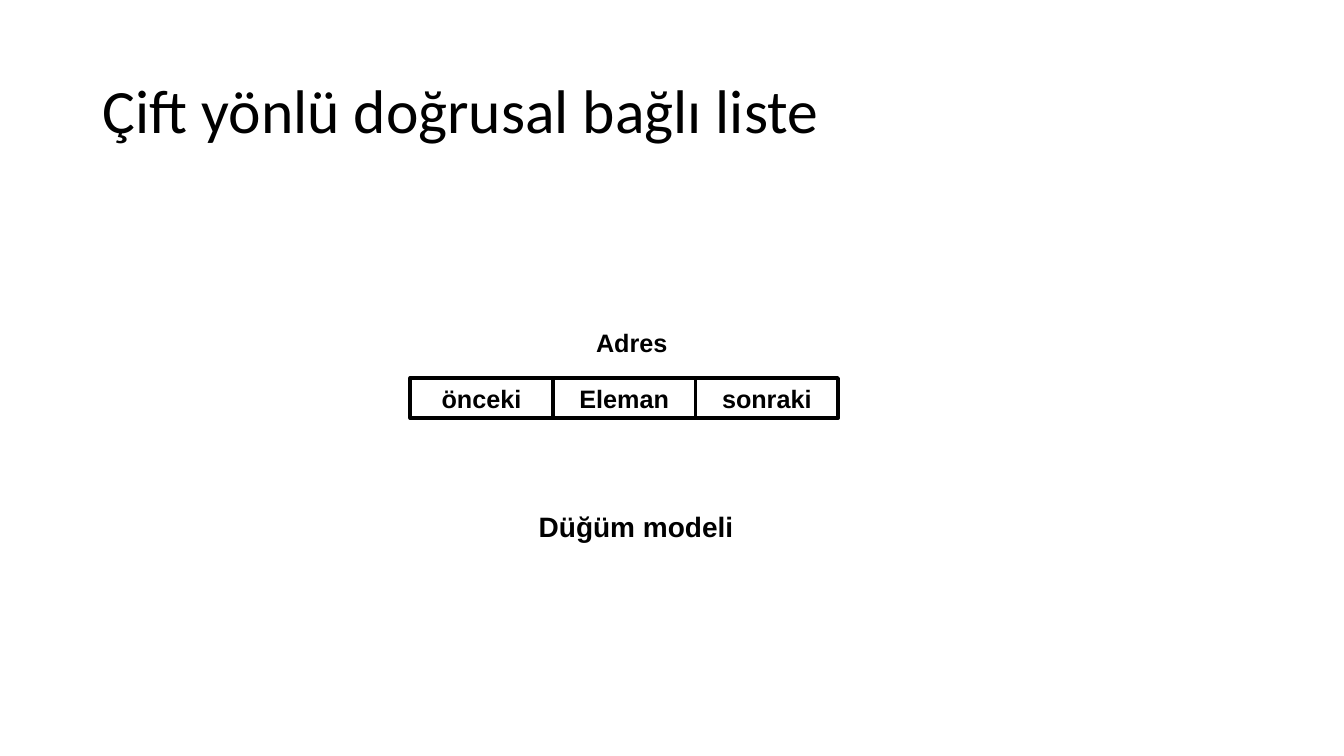
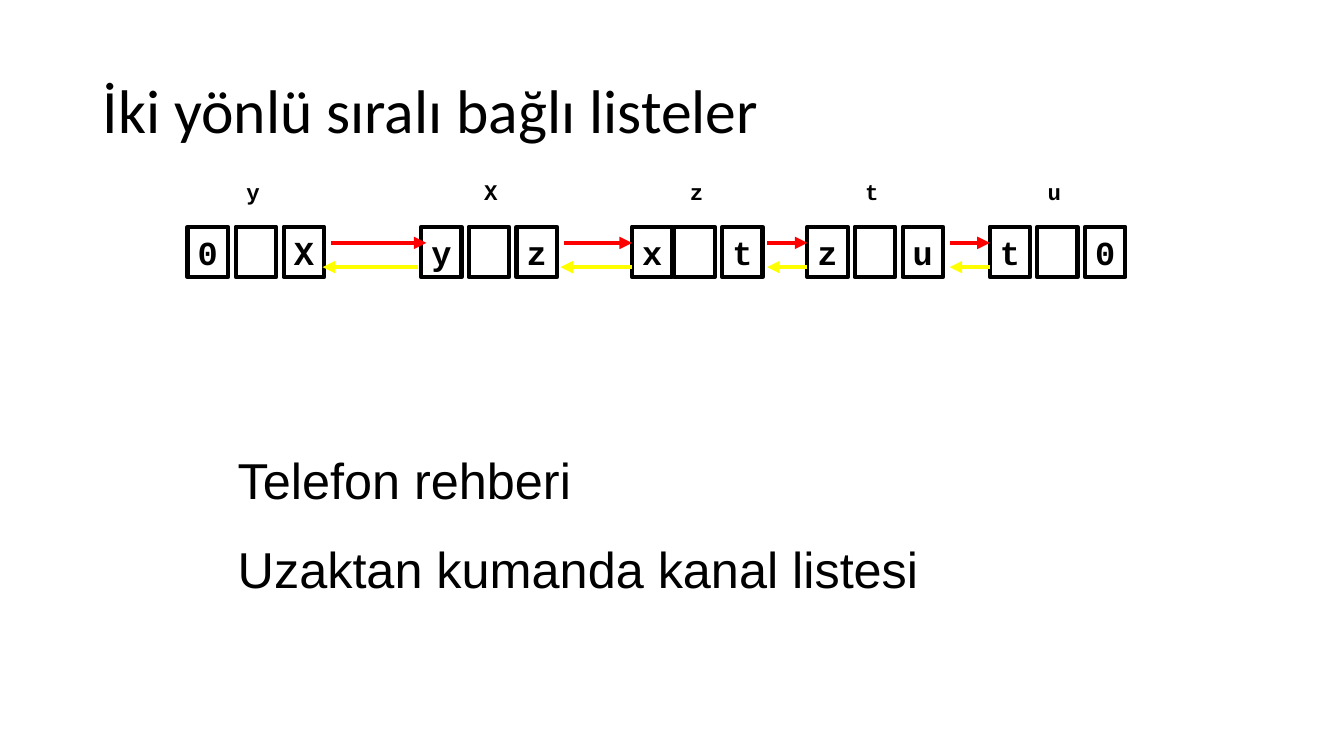
from lxml.etree import SubElement
from pptx import Presentation
from pptx.dml.color import RGBColor as RGB
from pptx.enum.shapes import MSO_CONNECTOR as CONN, MSO_SHAPE as SHAPE
from pptx.enum.text import MSO_ANCHOR as ANCHOR, PP_ALIGN as ALIGN
from pptx.oxml.ns import qn
from pptx.util import Inches, Pt


class Deck:
    """Slide style and drawing methods on a grid of tenth-inch cells."""

    COLORS = {"ink": "000000", "next": "FF0000", "prev": "FFFF00"}
    TITLE, BODY, CODE = "Calibri", "Arial", "Courier New"

    def __init__(self, cols, rows):
        self.prs = Presentation()
        self.prs.slide_width = self.grid(cols)
        self.prs.slide_height = self.grid(rows)
        self.s = None

    def grid(self, n):
        return Inches(n / 10)

    def color(self, name):
        return RGB.from_string(self.COLORS[name])

    def slide(self, title):
        self.s = self.prs.slides.add_slide(self.prs.slide_layouts[6])
        self.text(9.2, 4, 115, 14.5, [title], 44, self.TITLE,
                  align=ALIGN.LEFT, spacing=0.9)

    def fill_text(self, sp, lines, size, font, bold=False, align=ALIGN.CENTER,
                  spacing=None, gap=0, inset=1):
        tf = sp.text_frame
        tf.word_wrap = True
        tf.vertical_anchor = ANCHOR.MIDDLE
        tf.margin_left = tf.margin_right = self.grid(inset)
        tf.margin_top = tf.margin_bottom = 0
        for i, line in enumerate(lines):
            p = tf.add_paragraph() if i else tf.paragraphs[0]
            p.text = line
            p.alignment = align
            p.line_spacing = spacing
            p.space_before = Pt(gap if i else 0)
            p.font.size, p.font.name, p.font.bold = Pt(size), font, bold
            p.font.color.rgb = self.color("ink")

    def text(self, x, y, w, h, lines, size, font, **style):
        sp = self.s.shapes.add_textbox(*map(self.grid, (x, y, w, h)))
        self.fill_text(sp, lines, size, font, **style)

    def box(self, x, y, w, h, text, size, font, line):
        sp = self.s.shapes.add_shape(SHAPE.RECTANGLE, *map(self.grid, (x, y, w, h)))
        sp.shadow.inherit = False
        sp.fill.background()
        sp.line.color.rgb = self.color("ink")
        sp.line.width = Pt(line)
        if text:
            self.fill_text(sp, [text], size, font, bold=True, inset=0)

    def arrow(self, x1, x2, y, color):
        c = self.s.shapes.add_connector(CONN.STRAIGHT, *map(self.grid, (x1, y, x2, y)))
        c.line.color.rgb = self.color(color)
        c.line.width = Pt(3)
        props = c.element.spPr
        SubElement(props.find(qn("a:ln")), qn("a:tailEnd"), type="triangle")
        SubElement(props, qn("a:effectLst"))

    def node(self, xs, label_x, label, prev, next_):
        for x, text in zip(xs, (prev, "", next_)):
            self.box(x, 22.5, 4, 5, text, 24, self.CODE, 3)
        self.text(label_x, 17.2, 3.4, 3.7, [label], 16, self.CODE, bold=True, inset=0)


def node_model(d):
    d.slide("Çift yönlü doğrusal bağlı liste")
    w = 14.15
    for i, field in enumerate(("önceki", "Eleman", "sonraki")):
        d.box(40.7 + i * w, 37.5, w, 4, field, 18, d.BODY, 2.5)
    d.text(55.6, 32, w, 4, ["Adres"], 18, d.BODY, bold=True)
    d.text(51.7, 50.1, 22.8, 4.3, ["Düğüm modeli"], 20, d.BODY, bold=True)


def sorted_list(d):
    d.slide("İki yönlü sıralı bağlı listeler")
    step = 4.75
    labels = ("y", "X", "z", "t", "u")
    label_xs = (23.4, 47, 67.4, 84.8, 102.9)
    starts = (18.6, 41.8, 62.7, 80.1, 98.2)
    middles = (23.4, 46.5, 66.9, 84.8, 102.9)
    prevs = ("0", "y", "x", "z", "t")
    nexts = ("X", "z", "t", "u", "0")
    for label, lx, start, mid, prev, next_ in zip(
            labels, label_xs, starts, middles, prevs, nexts):
        d.node((start, mid, mid + step), lx, label, prev, next_)
    for x1, x2 in ((32.8, 42.3), (56, 62.7), (76.1, 80.1), (94.2, 98.2)):
        d.arrow(x1, x2, 24.1, "next")
    for x1, x2 in ((41.5, 32), (62.7, 55.6), (80.1, 76.1), (98.2, 94.2)):
        d.arrow(x1, x2, 26.5, "prev")
    d.text(22.6, 44.3, 83.5, 15.3, ["Telefon rehberi", "Uzaktan kumanda kanal listesi"],
           36, d.BODY, align=ALIGN.LEFT, gap=20)


def main():
    d = Deck(133.33, 75)
    node_model(d)
    sorted_list(d)
    d.prs.save("out.pptx")


if __name__ == "__main__":
    main()
